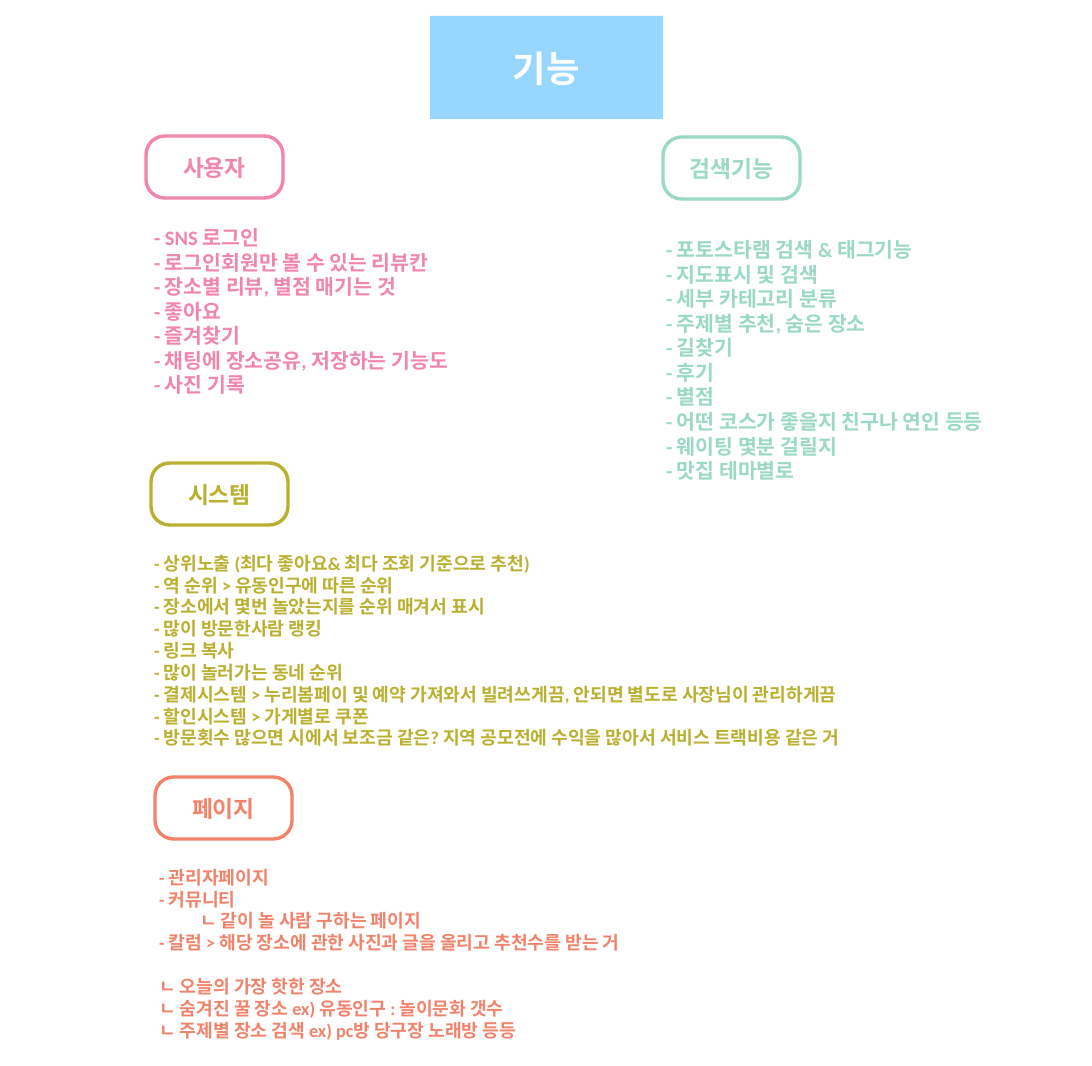
"""Build the feature overview slide: a title above four labelled lists."""
import pptx
import pptx.dml.color
import pptx.enum.shapes
import pptx.enum.text
import pptx.oxml
import pptx.oxml.ns
import pptx.util
from dataclasses import dataclass
from lxml import etree


@dataclass(frozen=True)
class Theme:
    white: str = "FFFFFF"
    sky: str = "97D7FF"
    pink: str = "F285AD"
    mint: str = "9AD9C2"
    olive: str = "BAB030"
    coral: str = "F2836B"
    latin: str = "Calibri"
    hangul: str = "Noto Sans CJK KR"
    title_size: int = 32
    label_size: int = 20
    large_size: int = 18
    small_size: int = 16
    outline: int = 3
    corner: float = 0.3


THEME = Theme()
EMU_PER_PIXEL = 914400 / 81.9
PAGE_SIZE = (1092, 1066)
TITLE = "기능"
TITLE_BOX = (430, 16, 233, 103)
LABEL_SIZE = (137, 62)
NESTED_INDENT = 41
GROUP_GAP = 22

SECTIONS = [
    {
        "label": "사용자", "label_at": (146, 136), "color": THEME.pink,
        "list_box": (146, 221, 363, 182), "size": THEME.large_size,
        "items": [
            "- SNS 로그인",
            "- 로그인회원만 볼 수 있는 리뷰칸",
            "- 장소별 리뷰, 별점 매기는 것",
            "- 좋아요",
            "- 즐겨찾기",
            "- 채팅에 장소공유, 저장하는 기능도",
            "- 사진 기록",
        ],
    },
    {
        "label": "검색기능", "label_at": (663, 137), "color": THEME.mint,
        "list_box": (658, 233, 473, 256), "size": THEME.large_size,
        "items": [
            "- 포토스타램 검색 & 태그기능",
            "- 지도표시 및 검색",
            "- 세부 카테고리 분류",
            "- 주제별 추천, 숨은 장소",
            "- 길찾기",
            "- 후기",
            "- 별점",
            "- 어떤 코스가 좋을지 친구나 연인 등등",
            "- 웨이팅 몇분 걸릴지",
            "- 맛집 테마별로",
        ],
    },
    {
        "label": "시스템", "label_at": (151, 463), "color": THEME.olive,
        "list_box": (146, 548, 874, 206), "size": THEME.small_size,
        "items": [
            "- 상위노출 (최다 좋아요& 최다 조회 기준으로 추천)",
            "- 역 순위 > 유동인구에 따른 순위",
            "- 장소에서 몇번 놀았는지를 순위 매겨서 표시",
            "- 많이 방문한사람 랭킹",
            "- 링크 복사",
            "- 많이 놀러가는 동네 순위",
            "- 결제시스템 > 누리봄페이 및 예약 가져와서 빌려쓰게끔, 안되면 별도로 사장님이 관리하게끔",
            "- 할인시스템 > 가게별로 쿠폰",
            "- 방문횟수 많으면 시에서 보조금 같은? 지역 공모전에 수익을 많아서 서비스 트랙비용 같은 거",
        ],
    },
    {
        "label": "페이지", "label_at": (155, 777), "color": THEME.coral,
        "list_box": (151, 862, 874, 185), "size": THEME.small_size,
        "items": [
            "- 관리자페이지",
            "- 커뮤니티",
            "ㄴ 같이 놀 사람 구하는 페이지",
            "- 칼럼 > 해당 장소에 관한 사진과 글을 올리고 추천수를 받는 거",
            "ㄴ 오늘의 가장 핫한 장소",
            "ㄴ 숨겨진 꿀 장소 ex) 유동인구 : 놀이문화 갯수",
            "ㄴ 주제별 장소 검색 ex) pc방 당구장 노래방 등등",
        ],
        "nested": 2, "group_start": 4,
    },
]


def px(pixels):
    """Turn pixels into EMU."""
    return pptx.util.Emu(round(pixels * EMU_PER_PIXEL))


def rgb(color):
    """Turn a hex string into a colour."""
    return pptx.dml.color.RGBColor.from_string(color)


def format_text(frame, size, color, font):
    """Apply one bold style to every run of a text frame."""
    for para in frame.paragraphs:
        for span in para.runs:
            span.font.size = pptx.util.Pt(size)
            span.font.bold = True
            span.font.color.rgb = rgb(color)
            span.font.name = font
            east_asian = etree.SubElement(span.font._element, pptx.oxml.ns.qn("a:ea"))
            east_asian.set("typeface", THEME.hangul)


def center_text(box, text, size, color):
    """Write one centred line into a rounded box."""
    frame = box.text_frame
    frame.text = text
    frame.word_wrap = True
    frame.auto_size = pptx.enum.text.MSO_AUTO_SIZE.NONE
    frame.vertical_anchor = pptx.enum.text.MSO_ANCHOR.MIDDLE
    frame.paragraphs[0].alignment = pptx.enum.text.PP_ALIGN.CENTER
    format_text(frame, size, color, THEME.hangul)


def fill_box(box, color):
    """Give a rounded box its fill and corner radius."""
    box.adjustments[0] = THEME.corner
    box.fill.solid()
    box.fill.fore_color.rgb = rgb(color)


def add_title(page):
    """Place the title placeholder as a filled rounded box."""
    title = page.shapes.title
    title.left, title.top, title.width, title.height = map(px, TITLE_BOX)
    title.element.spPr.append(pptx.oxml.parse_xml(
        f'<a:prstGeom {pptx.oxml.ns.nsdecls("a")} prst="roundRect"><a:avLst/></a:prstGeom>'))
    fill_box(title, THEME.sky)
    center_text(title, TITLE, THEME.title_size, THEME.white)


def add_label(page, section):
    """Add the outlined heading of a section."""
    label = page.shapes.add_shape(
        pptx.enum.shapes.MSO_SHAPE.ROUNDED_RECTANGLE,
        *map(px, section["label_at"] + LABEL_SIZE))
    label.shadow.inherit = False
    fill_box(label, THEME.white)
    label.line.color.rgb = rgb(section["color"])
    label.line.width = pptx.util.Pt(THEME.outline)
    center_text(label, section["label"], THEME.label_size, section["color"])


def add_list(page, section):
    """Add the list of a section, with its nested line and group gap."""
    frame = page.shapes.add_textbox(*map(px, section["list_box"])).text_frame
    frame.word_wrap = True
    frame.text = "\n".join(section["items"])
    format_text(frame, section["size"], section["color"], THEME.latin)
    if "nested" in section:
        nested = frame.paragraphs[section["nested"]]
        nested._p.get_or_add_pPr().set("marL", str(px(NESTED_INDENT)))
        frame.paragraphs[section["group_start"]].space_before = px(GROUP_GAP)


deck = pptx.Presentation()
deck.slide_width, deck.slide_height = map(px, PAGE_SIZE)
page = deck.slides.add_slide(deck.slide_layouts[5])
add_title(page)
for section in SECTIONS:
    add_label(page, section)
    add_list(page, section)
deck.save("out.pptx")
